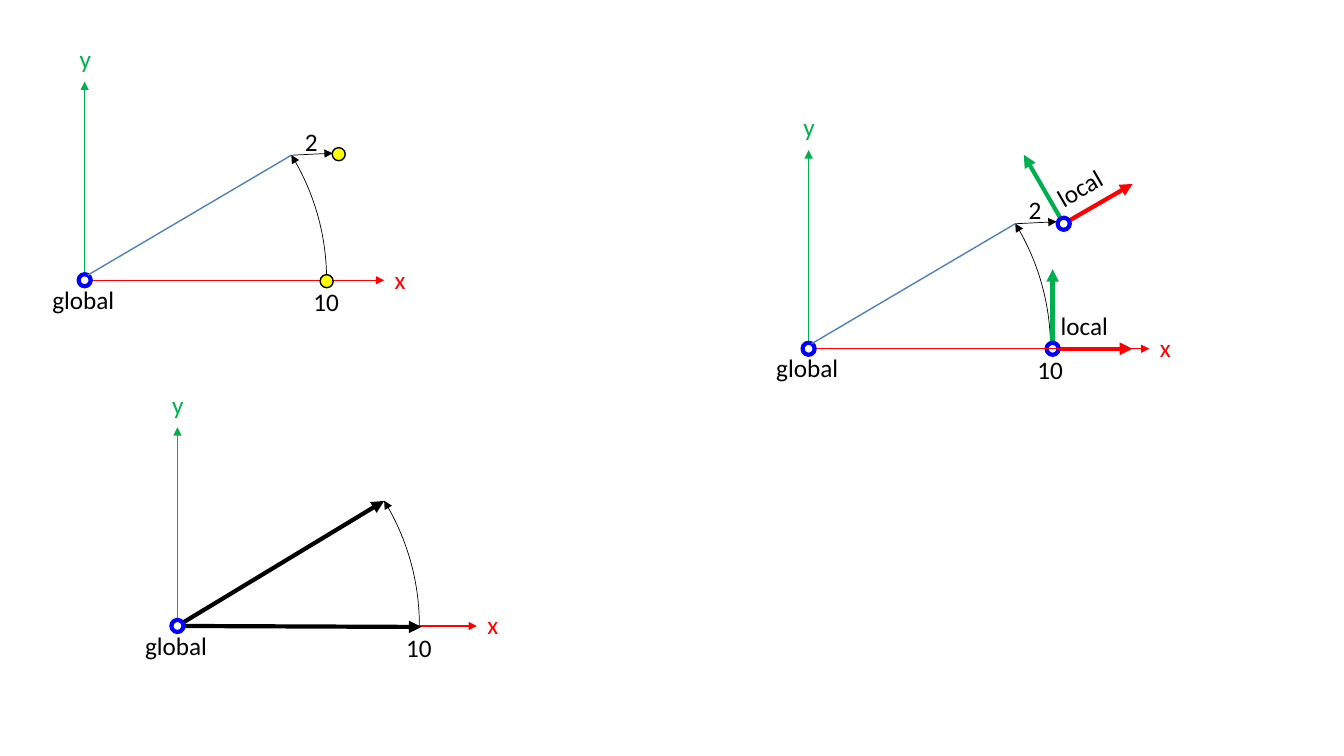
from dataclasses import dataclass
from math import cos, radians, sin
from typing import Any

from lxml.etree import SubElement
from pptx import Presentation
from pptx.dml.color import RGBColor
from pptx.enum.shapes import MSO_CONNECTOR, MSO_SHAPE
from pptx.enum.text import MSO_AUTO_SIZE
from pptx.oxml.ns import qn
from pptx.util import Inches, Pt


@dataclass(frozen=True)
class Theme:
    font: str = "Calibri"
    size: int = 18
    black: str = "000000"
    white: str = "FFFFFF"
    red: str = "FF0000"
    green: str = "00B050"
    blue: str = "0000FF"
    steel: str = "4F81BD"
    yellow: str = "FFFF00"
    hair: float = 0.5
    thin: float = 1
    bold: float = 3


@dataclass(frozen=True)
class Point:
    x: float
    y: float

    def move(self, right: float, up: float) -> "Point":
        return Point(self.x + right, self.y - up)

    def turn(self, right: float, up: float, angle: float) -> "Point":
        c, s = cos(radians(angle)), sin(radians(angle))
        return self.move(right * c - up * s, right * s + up * c)


@dataclass(frozen=True)
class Panel:
    shapes: Any
    zero: Point
    reach: float


THEME = Theme()
RADIUS = 2.38
HEIGHT = 1.97
ARM = 0.79
TIP = (2.05, 1.24)


def ink(line: Any, color: str, width: float) -> None:
    line.color.rgb = RGBColor.from_string(color)
    line.width = Pt(width)


def point(shape: Any, end: str) -> None:
    line = shape.line._get_or_add_ln()
    SubElement(line, qn(f"a:{end}"), type="triangle")


def write(shapes: Any, text: str, mid: Point, *, width: float,
          color: str = THEME.black, angle: float = 0) -> None:
    box = shapes.add_textbox(Inches(mid.x - width / 2), Inches(mid.y - 0.2),
                             Inches(width), Inches(0.4))
    box.rotation = -angle
    frame = box.text_frame
    frame.word_wrap = False
    frame.auto_size = MSO_AUTO_SIZE.SHAPE_TO_FIT_TEXT
    run = frame.paragraphs[0].add_run()
    run.text = text
    run.font.name = THEME.font
    run.font.size = Pt(THEME.size)
    run.font.color.rgb = RGBColor.from_string(color)


def join(shapes: Any, start: Point, end: Point, color: str,
         width: float, arrow: bool = True) -> None:
    line = shapes.add_connector(MSO_CONNECTOR.STRAIGHT, Inches(start.x), Inches(start.y),
                                Inches(end.x), Inches(end.y))
    ink(line.line, color, width)
    if arrow:
        point(line, "tailEnd")
    SubElement(line._element.spPr, qn("a:effectLst"))


def ring(shapes: Any, mid: Point, size: float = 0.12, fill: str = THEME.white,
         color: str = THEME.blue, width: float = THEME.bold) -> None:
    dot = shapes.add_shape(MSO_SHAPE.OVAL, Inches(mid.x - size / 2),
                           Inches(mid.y - size / 2), Inches(size), Inches(size))
    dot.shadow.inherit = False
    dot.fill.solid()
    dot.fill.fore_color.rgb = RGBColor.from_string(fill)
    ink(dot.line, color, width)


def sweep(panel: Panel) -> None:
    mid = panel.zero.move(0.02, 0)
    arc = panel.shapes.add_shape(MSO_SHAPE.ARC, Inches(mid.x - RADIUS),
                                 Inches(mid.y - RADIUS),
                                 Inches(2 * RADIUS), Inches(2 * RADIUS))
    arc.adjustments[0] = 197.12
    arc.adjustments[1] = 0
    arc.shadow.inherit = False
    arc.fill.background()
    ink(arc.line, THEME.black, THEME.hair)
    point(arc, "headEnd")


def axes(panel: Panel) -> None:
    shapes, zero, reach = panel.shapes, panel.zero, panel.reach
    join(shapes, zero, zero.move(reach, 0), THEME.red, THEME.thin)
    join(shapes, zero, zero.move(0, HEIGHT), THEME.green, THEME.thin)
    write(shapes, "x", zero.move(reach + 0.16, 0.01), width=0.31, color=THEME.red)
    write(shapes, "y", zero.move(0.01, HEIGHT + 0.23), width=0.32, color=THEME.green)
    write(shapes, "10", zero.move(2.4, -0.21), width=0.46)


def base(panel: Panel) -> None:
    ring(panel.shapes, panel.zero)
    write(panel.shapes, "global", panel.zero.move(-0.01, -0.19), width=0.82)


def shift(panel: Panel) -> None:
    shapes, zero = panel.shapes, panel.zero
    tip = zero.move(*TIP)
    join(shapes, tip, zero.move(0.03, 0.05), THEME.steel, THEME.thin, arrow=False)
    join(shapes, tip, tip.move(0.41, 0.02), THEME.black, THEME.hair)
    write(shapes, "2", tip.move(0.2, 0.14), width=0.33)


def local(shapes: Any, zero: Point, angle: float) -> None:
    for color, turn in ((THEME.red, 0), (THEME.green, 90)):
        join(shapes, zero, zero.turn(ARM, 0, angle + turn), color, THEME.bold)
    ring(shapes, zero)
    write(shapes, "local", zero.turn(0.32, 0.23, angle), width=0.68, angle=angle)


def spin(panel: Panel) -> None:
    sweep(panel)
    axes(panel)
    for right, up in ((2.42, -0.01), TIP):
        join(panel.shapes, panel.zero, panel.zero.move(right, up),
             THEME.black, THEME.bold)
    base(panel)


def track(panel: Panel) -> None:
    sweep(panel)
    axes(panel)
    base(panel)
    shift(panel)
    for right, up in ((2.4, -0.01), (2.52, 1.25)):
        ring(panel.shapes, panel.zero.move(right, up), 0.13,
             THEME.yellow, THEME.black, THEME.thin)


def carry(panel: Panel) -> None:
    sweep(panel)
    local(panel.shapes, panel.zero.move(2.42, 0), 0)
    axes(panel)
    base(panel)
    shift(panel)
    local(panel.shapes, panel.zero.move(2.53, 1.24), 30)


def main() -> None:
    deck = Presentation()
    deck.slide_width, deck.slide_height = Inches(13.33), Inches(7.5)
    slide = deck.slides.add_slide(deck.slide_layouts[6])
    for draw, zero, reach in ((spin, Point(1.76, 6.21), 2.97),
                              (track, Point(0.84, 2.78), 2.97),
                              (carry, Point(8.02, 3.46), 3.38)):
        draw(Panel(slide.shapes.add_group_shape().shapes, zero, reach))
    deck.save("out.pptx")


if __name__ == "__main__":
    main()
